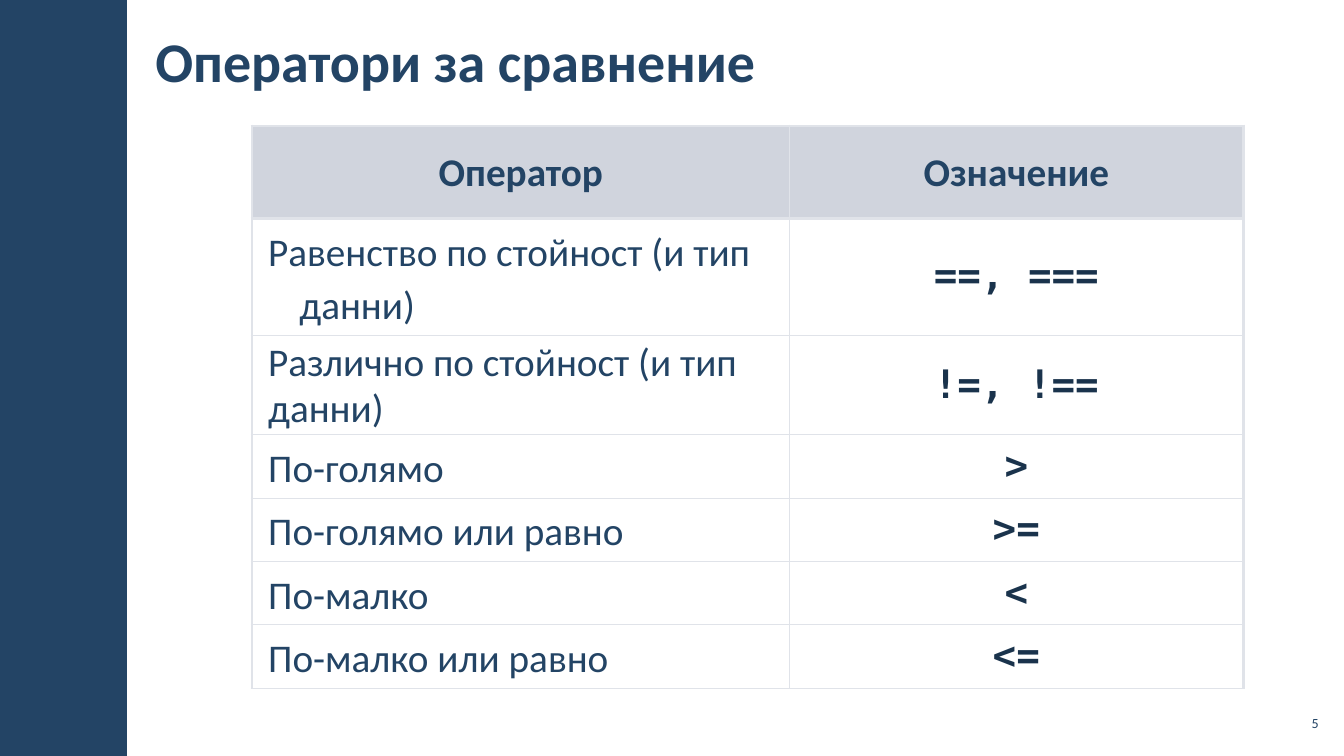
from lxml import etree
from pptx import Presentation
from pptx import util as u
from pptx.dml.color import RGBColor
from pptx.enum import shapes, text
from pptx.oxml.ns import qn

COLORS = {"navy": "234465", "code": "1A334C", "header": "A3ABBC", "border": "E0E3E9"}
SANS, MONO = "Calibri", "DejaVu Sans Mono"
CENTER, RIGHT = text.PP_ALIGN.CENTER, text.PP_ALIGN.RIGHT
MIDDLE = text.MSO_ANCHOR.MIDDLE
THIN, THICK = 1, 2.25

HEADER = ("Оператор", "Означение")
OPERATORS = [
    ("Равенство по стойност (и тип данни)", "==, ==="),
    ("Различно по стойност (и тип данни)", "!=, !=="),
    ("По-голямо", ">"),
    ("По-голямо или равно", ">="),
    ("По-малко", "<"),
    ("По-малко или равно", "<="),
]
FLUSH_ROW = 2  # the one description without a hanging indent
COL_WIDTHS = (5.33, 4.5)
ROW_HEIGHTS = (0.92, 0.89, 0.86) + (0.55,) * 4


def rgb(name):
    return RGBColor.from_string(COLORS[name])


def set_margins(target, horizontal, vertical):
    margins = {"margin_left": horizontal, "margin_right": horizontal,
               "margin_top": vertical, "margin_bottom": vertical}
    for name, value in margins.items():
        setattr(target, name, u.Inches(value))


def write(p, words, size, color="navy", font=SANS, bold=False, align=None):
    r = p.add_run()
    r.text = words
    for name, value in {"name": font, "size": u.Pt(size), "bold": bold}.items():
        setattr(r.font, name, value)
    r.font.color.rgb = rgb(color)
    p.alignment = align


def add_bar(s, left, top, width, height):
    sp = s.shapes.add_shape(shapes.MSO_SHAPE.RECTANGLE,
                            *map(u.Inches, (left, top, width, height)))
    sp.shadow.inherit = False
    sp.fill.solid()
    sp.fill.fore_color.rgb = rgb("navy")
    sp.line.fill.background()


def add_label(s, box, words, size, margin, **style):
    tf = s.shapes.add_textbox(*map(u.Inches, box)).text_frame
    tf.word_wrap = True
    tf.vertical_anchor = MIDDLE
    set_margins(tf, margin, 0.04)
    write(tf.paragraphs[0], words, size, **style)


def space_proportional(p):
    p.line_spacing = 0.95
    p.space_before = u.Pt(0)
    before = p._p.pPr.find(qn("a:spcBef"))
    before.clear()
    etree.SubElement(before, qn("a:spcPct"), val="40000")


def space_hanging(p):
    spacing = {"line_spacing": 38, "space_before": 6, "space_after": 6}
    for name, value in spacing.items():
        setattr(p, name, u.Pt(value))
    pPr = p._p.get_or_add_pPr()
    pPr.set("marL", str(u.Inches(0.31)))
    pPr.set("indent", str(u.Inches(-0.31)))


def fill_cell(cell, is_header):
    if not is_header:
        cell.fill.background()
        return
    cell.fill.solid()
    cell.fill.fore_color.rgb = rgb("header")
    color = cell._tc.tcPr.find(".//" + qn("a:srgbClr"))
    etree.SubElement(color, qn("a:alpha"), val="50000")


def set_borders(cell, widths):
    # Border lines come before the fill in the cell properties
    tcPr = cell._tc.get_or_add_tcPr()
    for i, (side, width) in enumerate(widths.items()):
        ln = etree.Element(qn("a:ln" + side), w=str(u.Pt(width)))
        fill = etree.SubElement(ln, qn("a:solidFill"))
        etree.SubElement(fill, qn("a:srgbClr"), val=COLORS["border"])
        tcPr.insert(i, ln)


def format_cell(cell, words, row, col):
    is_header = row == 0
    is_code = col == 1 and not is_header
    cell.vertical_anchor = MIDDLE
    set_margins(cell, 0.16, 0.05)
    p = cell.text_frame.paragraphs[0]
    write(p, words, 28, "code" if is_code else "navy", MONO if is_code else SANS,
          bold=is_header or is_code, align=CENTER if is_header or is_code else None)
    if is_header or is_code or row == FLUSH_ROW:
        space_proportional(p)
    else:
        space_hanging(p)
    fill_cell(cell, is_header)
    set_borders(cell, {
        "L": THICK if col == 0 else THIN,
        "R": THICK if col == 1 else THIN,
        "T": THICK if row <= 1 else THIN,
        "B": THICK if is_header else THIN,
    })


def add_operator_table(s, left, top):
    rows = [HEADER] + OPERATORS
    size = (sum(COL_WIDTHS), sum(ROW_HEIGHTS))
    table = s.shapes.add_table(len(rows), len(HEADER),
                               *map(u.Inches, (left, top, *size))).table
    table.horz_banding = False
    for column, width in zip(table.columns, COL_WIDTHS):
        column.width = u.Inches(width)
    for line, height in zip(table.rows, ROW_HEIGHTS):
        line.height = u.Inches(height)
    for row, values in enumerate(rows):
        for col, words in enumerate(values):
            format_cell(table.cell(row, col), words, row, col)


def main():
    prs = Presentation()
    prs.slide_width, prs.slide_height = u.Inches(13.33), u.Inches(7.5)
    s = prs.slides.add_slide(prs.slide_layouts[6])

    # Side bar and title
    add_bar(s, 0, 0, 1.26, 7.5)
    add_label(s, (1.42, 0.11, 9.18, 0.97), "Оператори за сравнение", 40, 0.12, bold=True)

    # Comparison operators
    add_operator_table(s, 2.5, 1.25)

    # Slide number
    add_label(s, (12.65, 7, 0.47, 0.34), "5", 10, 0.04, align=RIGHT)

    prs.save("out.pptx")


if __name__ == "__main__":
    main()
